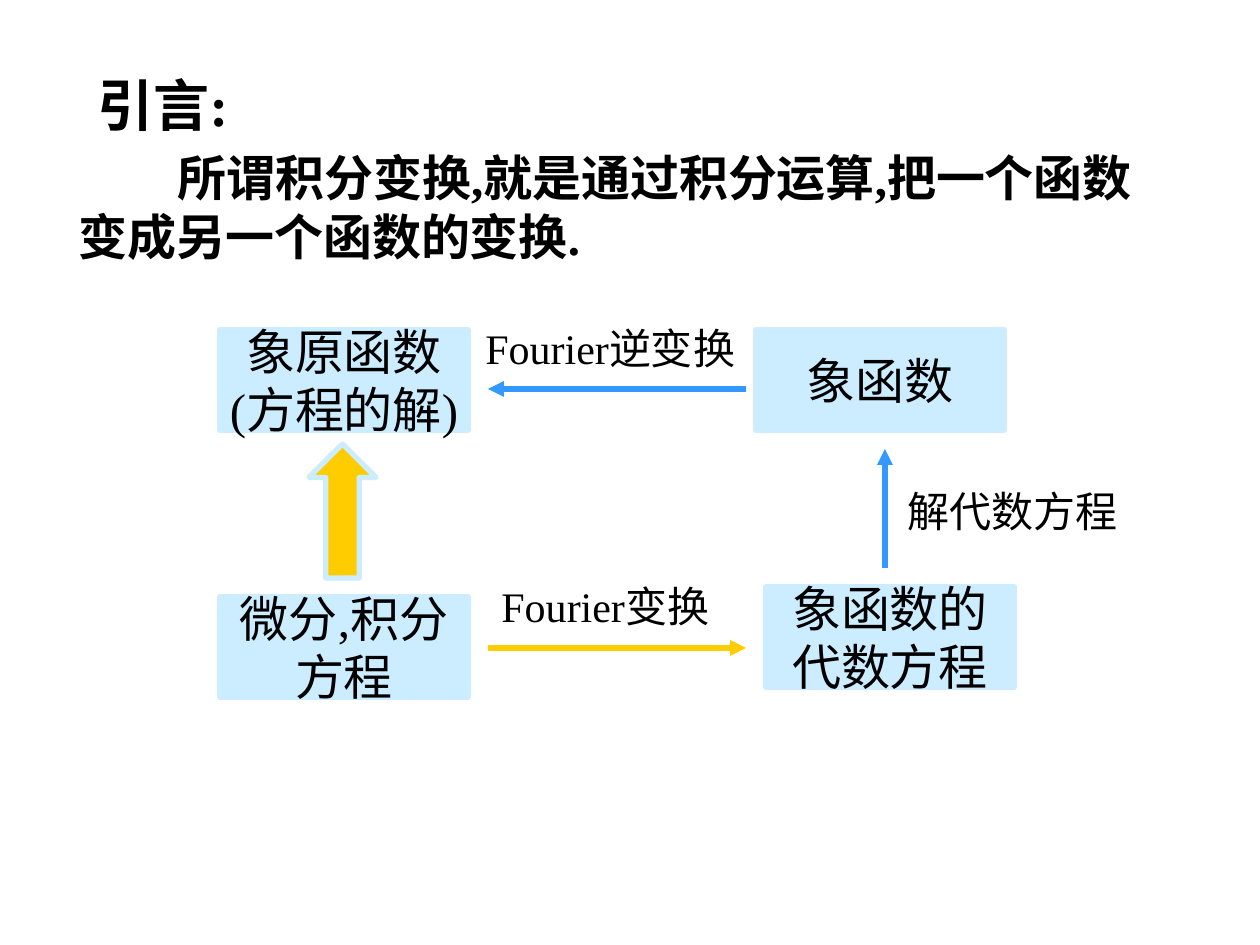
"""Builds the introduction slide on integral transforms, with a Fourier solution cycle."""
from lxml.etree import SubElement
from pptx import Presentation
from pptx.dml.color import RGBColor
from pptx.enum.shapes import MSO_CONNECTOR, MSO_SHAPE
from pptx.enum.text import MSO_ANCHOR, MSO_AUTO_SIZE, PP_ALIGN
from pptx.oxml.ns import qn
from pptx.util import Pt

PX = 914400 / 126
THEME = {
    "font": "Times New Roman",
    "text": RGBColor(0x00, 0x00, 0x00),
    "box": RGBColor(0xCC, 0xEC, 0xFF),
    "solve": RGBColor(0x33, 0x99, 0xFF),
    "transform": RGBColor(0xFF, 0xCC, 0x00),
    "heading_size": Pt(32),
    "body_size": Pt(28),
    "label_size": Pt(24),
    "line": Pt(3),
}


def emu(*lengths):
    return [round(length * PX) for length in lengths]


def write(holder, text, size, bold=False, align=PP_ALIGN.LEFT, anchor=MSO_ANCHOR.TOP, wrap=False):
    frame = holder.text_frame
    frame.text = text
    frame.word_wrap = wrap
    frame.auto_size = MSO_AUTO_SIZE.NONE
    frame.vertical_anchor = anchor
    for paragraph in frame.paragraphs:
        paragraph.alignment = align
        paragraph.space_before = Pt(0)
        for run in paragraph.runs:
            run.font.name = THEME["font"]
            run.font.size = size
            run.font.bold = bold
            run.font.color.rgb = THEME["text"]


prs = Presentation()
prs.slide_width, prs.slide_height = emu(1260, 945)
slide = prs.slides.add_slide(prs.slide_layouts[1])
shapes = slide.shapes

heading = shapes.title
heading.left, heading.top, heading.width, heading.height = emu(85, 64, 190, 81)
write(heading, "引言:", THEME["heading_size"], bold=True, wrap=True)

definition = slide.placeholders[1]
definition.left, definition.top, definition.width, definition.height = emu(66, 141, 1150, 131)
write(definition, "所谓积分变换,就是通过积分运算,把一个函数\n变成另一个函数的变换.",
      THEME["body_size"], bold=True, wrap=True)
for paragraph, indent in zip(definition.text_frame.paragraphs, emu(99, 0)):
    properties = paragraph._p.get_or_add_pPr()
    properties.set("marL", "0")
    properties.set("indent", str(indent))
    SubElement(properties, qn("a:buNone"))

stages = [
    (220, 330, "象原函数\n(方程的解)"),
    (756, 330, "象函数"),
    (220, 597, "微分,积分\n方程"),
    (766, 587, "象函数的\n代数方程"),
]
for left, top, text in stages:
    stage = shapes.add_shape(MSO_SHAPE.FLOWCHART_PROCESS, *emu(left, top, 248, 100))
    stage.shadow.inherit = False
    stage.fill.solid()
    stage.fill.fore_color.rgb = THEME["box"]
    stage.line.color.rgb = THEME["box"]
    stage.line.width = THEME["line"]
    write(stage, text, THEME["body_size"], align=PP_ALIGN.CENTER, anchor=MSO_ANCHOR.MIDDLE)

solution_arrow = shapes.add_shape(MSO_SHAPE.UP_ARROW, *emu(309, 444, 67, 134))
solution_arrow.shadow.inherit = False
solution_arrow.fill.solid()
solution_arrow.fill.fore_color.rgb = THEME["transform"]
solution_arrow.line.color.rgb = THEME["box"]
solution_arrow.line.width = THEME["line"]

steps = [
    (885, 568, 885, 449, "solve"),
    (746, 389, 488, 389, "solve"),
    (488, 648, 746, 648, "transform"),
]
for start_x, start_y, end_x, end_y, role in steps:
    step = shapes.add_connector(MSO_CONNECTOR.STRAIGHT, *emu(start_x, start_y, end_x, end_y))
    step.line.color.rgb = THEME[role]
    step.line.width = THEME["line"]
    SubElement(step.line._get_or_add_ln(), qn("a:tailEnd"), type="triangle")
    SubElement(step._element.spPr, qn("a:effectLst"))

labels = [
    (473, 316, 285, "Fourier逆变换"),
    (489, 574, 243, "Fourier变换"),
    (895, 479, 234, "解代数方程"),
]
for left, top, width, text in labels:
    label = shapes.add_textbox(*emu(left, top, width, 63))
    write(label, text, THEME["label_size"])

prs.save("out.pptx")
